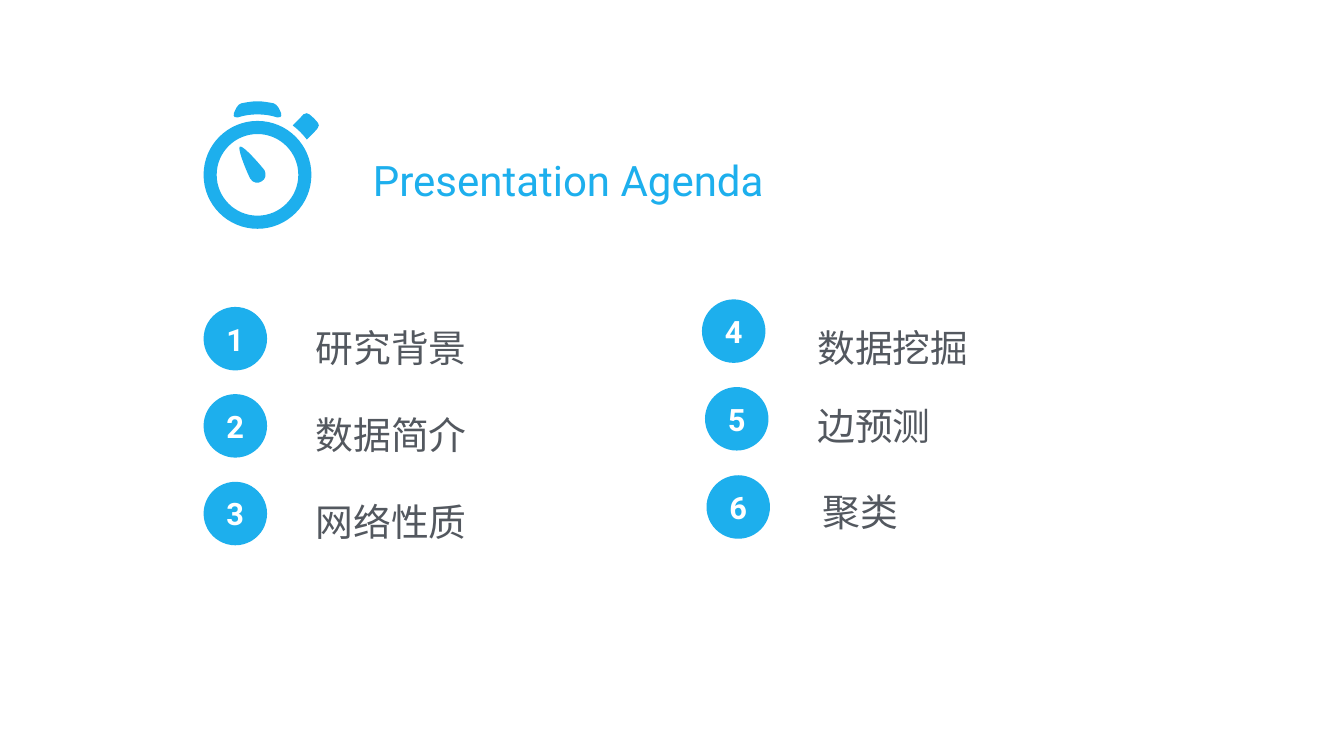
import pptx
import pptx.util
import pptx.dml.color
import pptx.enum.shapes
import pptx.enum.text
import pptx.oxml.ns
import lxml.etree

Inches = pptx.util.Inches
qn = pptx.oxml.ns.qn
ALIGN = pptx.enum.text.PP_ALIGN
AUTO_SIZE = pptx.enum.text.MSO_AUTO_SIZE

# Content
COLORS = {"accent": "1DAFED", "body": "53585F", "light": "FFFFFF"}
TITLE = "Presentation Agenda"
# number, badge left and top, topic, topic left, top and width
AGENDA = [
    ("1", 4.04, 6.09, "研究背景", 6.2, 6.25, 3.38),
    ("2", 4.04, 7.82, "数据简介", 6.2, 7.98, 3.38),
    ("3", 4.04, 9.56, "网络性质", 6.2, 9.71, 3.64),
    ("4", 13.93, 5.94, "数据挖掘", 16.16, 6.24, 4.32),
    ("5", 13.99, 7.68, "边预测", 16.16, 7.79, 2.92),
    ("6", 14.02, 9.43, "聚类", 16.27, 9.5, 2.92),
]
TITLE_FORMAT = {"size": 60, "color": "accent", "bold": False}
TOPIC_FORMAT = {"size": 54, "color": "body", "bold": False}
NUMBER_FORMAT = {"size": 44, "color": "light", "bold": True}
BADGE = 1.26
NUMBER_WIDTH, NUMBER_HEIGHT = 1.08, 0.52

# Stopwatch: dial circles, then curves as a start and cubic segments
UNITS_PER_INCH = 1000
DIAL_CENTER, DIAL_RADII = (5.11, 3.47), (0.81, 1.07)
BUTTON = [(6.31, 2.44),
          (6.29, 2.41, 6.26, 2.38, 6.23, 2.35), (6.2, 2.32, 6.17, 2.29, 6.14, 2.27),
          (6.12, 2.25, 6.06, 2.23, 6.02, 2.27), (5.99, 2.31, 5.81, 2.49, 5.81, 2.49),
          (5.86, 2.53, 5.91, 2.57, 5.96, 2.62), (6.01, 2.67, 6.05, 2.72, 6.09, 2.77),
          (6.09, 2.77, 6.27, 2.59, 6.3, 2.55), (6.34, 2.51, 6.33, 2.46, 6.31, 2.44)]
CROWN = [(4.72, 2.33),
         (4.84, 2.29, 4.97, 2.27, 5.11, 2.27), (5.25, 2.27, 5.38, 2.29, 5.5, 2.33),
         (5.54, 2.35, 5.6, 2.32, 5.58, 2.25), (5.56, 2.2, 5.54, 2.16, 5.53, 2.14),
         (5.51, 2.09, 5.45, 2.06, 5.43, 2.05), (5.32, 2.03, 5.22, 2.01, 5.11, 2.01),
         (5, 2.01, 4.9, 2.03, 4.79, 2.05), (4.77, 2.06, 4.7, 2.09, 4.69, 2.14),
         (4.68, 2.16, 4.66, 2.2, 4.64, 2.25), (4.62, 2.32, 4.68, 2.35, 4.72, 2.33)]
HAND = [(4.76, 2.91),
        (4.7, 2.94, 4.92, 3.47, 4.97, 3.55), (5.02, 3.63, 5.12, 3.65, 5.19, 3.6),
        (5.27, 3.56, 5.29, 3.46, 5.25, 3.38), (5.19, 3.3, 4.82, 2.87, 4.76, 2.91)]


def rgb(name):
    return pptx.dml.color.RGBColor.from_string(COLORS[name])


def circle_curve(center, radius):
    cx, cy = center
    handle = 0.5523 * radius
    curve = [(cx, cy + radius)]
    dx, dy = 0, 1
    for _ in range(4):
        next_dx, next_dy = -dy, dx
        curve.append((cx + dx * radius + next_dx * handle, cy + dy * radius + next_dy * handle,
                      cx + next_dx * radius + dx * handle, cy + next_dy * radius + dy * handle,
                      cx + next_dx * radius, cy + next_dy * radius))
        dx, dy = next_dx, next_dy
    return curve


def paint(shape):
    shape.shadow.inherit = False
    shape.fill.solid()
    shape.fill.fore_color.rgb = rgb("accent")
    shape.line.fill.background()


def add_text(shapes, text, box, text_format, align=ALIGN.LEFT, spacing=None,
             auto_size=AUTO_SIZE.SHAPE_TO_FIT_TEXT):
    frame = shapes.add_textbox(*map(Inches, box)).text_frame
    margins = {f"margin_{side}": Inches(0.06) for side in ("left", "top", "right", "bottom")}
    for key, value in {"word_wrap": True, "auto_size": auto_size,
                       "vertical_anchor": pptx.enum.text.MSO_ANCHOR.MIDDLE,
                       **margins}.items():
        setattr(frame, key, value)
    paragraph = frame.paragraphs[0]
    paragraph.alignment = align
    paragraph.line_spacing = spacing
    run = paragraph.add_run()
    run.text = text
    for key, value in {"name": "Roboto", "size": pptx.util.Pt(text_format["size"]),
                       "bold": text_format["bold"]}.items():
        setattr(run.font, key, value)
    run.font.color.rgb = rgb(text_format["color"])


def add_stopwatch(shapes):
    curves = [circle_curve(DIAL_CENTER, radius) for radius in DIAL_RADII]
    curves += [BUTTON, CROWN, HAND]
    builder = shapes.build_freeform(*(v * UNITS_PER_INCH for v in curves[0][0]),
                                    scale=Inches(1) / UNITS_PER_INCH)
    for index, curve in enumerate(curves):
        corners = [tuple(v * UNITS_PER_INCH for v in part[-2:]) for part in curve]
        if index:
            builder.move_to(*corners[0])
        builder.add_line_segments(corners[1:], close=True)
    stopwatch = builder.convert_to_shape()
    paint(stopwatch)

    # Turn each straight segment into its cubic curve
    left, top = stopwatch.left / Inches(1), stopwatch.top / Inches(1)
    segments = [segment for curve in curves for segment in curve[1:]]
    lines = list(stopwatch.element.iter(qn("a:lnTo")))
    for line, segment in zip(lines, segments):
        cubic = lxml.etree.Element(qn("a:cubicBezTo"))
        for x, y in zip(segment[::2], segment[1::2]):
            lxml.etree.SubElement(cubic, qn("a:pt"),
                                  x=str(round((x - left) * UNITS_PER_INCH)),
                                  y=str(round((y - top) * UNITS_PER_INCH)))
        line.getparent().replace(line, cubic)


def add_badge(shapes, number, left, top):
    badge = shapes.add_group_shape().shapes
    paint(badge.add_shape(pptx.enum.shapes.MSO_SHAPE.OVAL,
                          *map(Inches, (left, top, BADGE, BADGE))))
    box = (left + (BADGE - NUMBER_WIDTH) / 2, top + (BADGE - NUMBER_HEIGHT) / 2,
           NUMBER_WIDTH, NUMBER_HEIGHT)
    add_text(badge, number, box, NUMBER_FORMAT, ALIGN.CENTER, auto_size=AUTO_SIZE.NONE)


def main():
    deck = pptx.Presentation()
    deck.slide_width, deck.slide_height = Inches(26.67), Inches(15)
    shapes = deck.slides.add_slide(deck.slide_layouts[6]).shapes

    # Heading
    add_stopwatch(shapes)
    add_text(shapes, TITLE, (7.34, 3, 8.93, 1.15), TITLE_FORMAT)

    # Agenda items
    for number, badge_left, badge_top, topic, left, top, width in AGENDA:
        add_text(shapes, topic, (left, top, width, 1.11), TOPIC_FORMAT, spacing=1.2)
        add_badge(shapes, number, badge_left, badge_top)

    deck.save("out.pptx")


if __name__ == "__main__":
    main()
